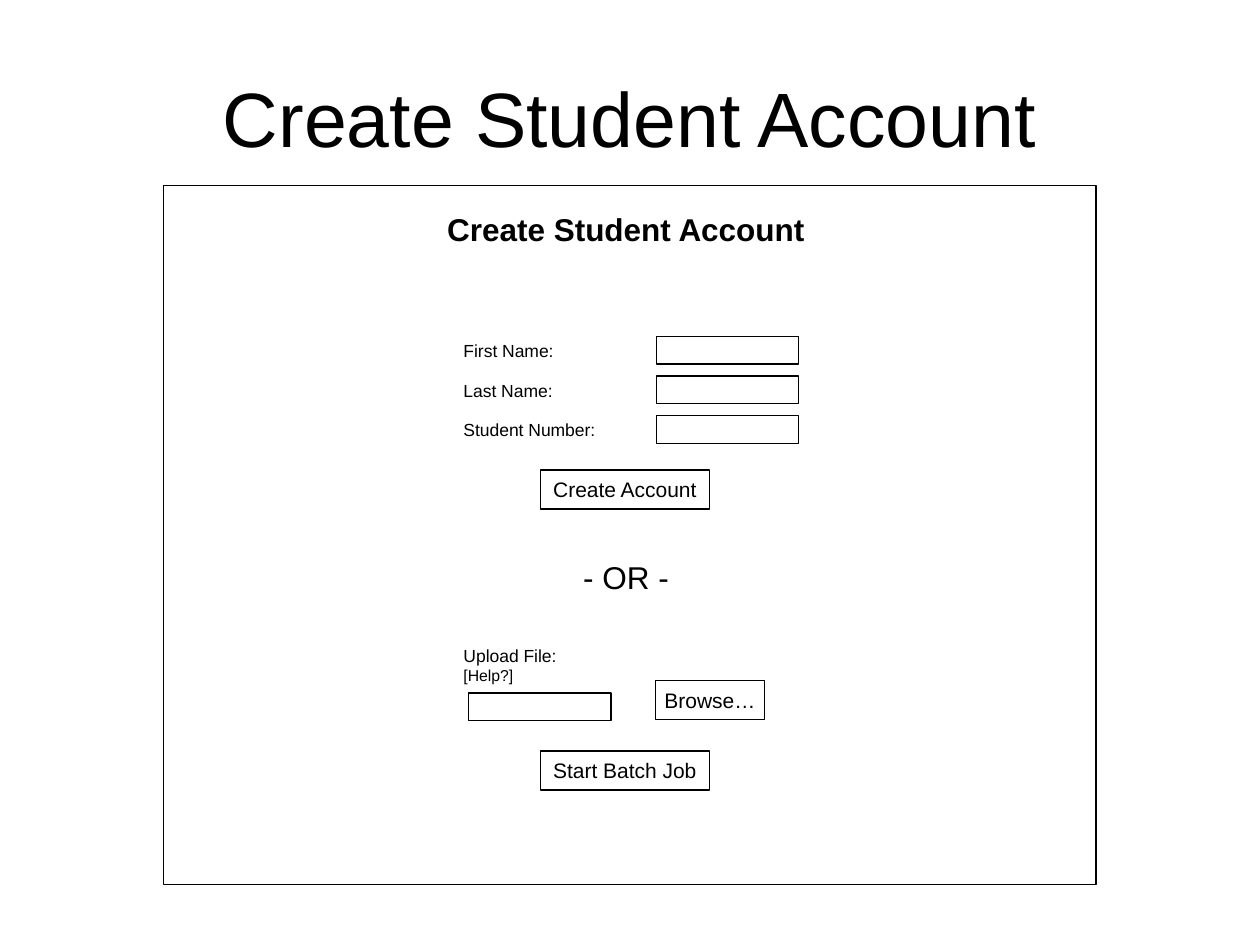
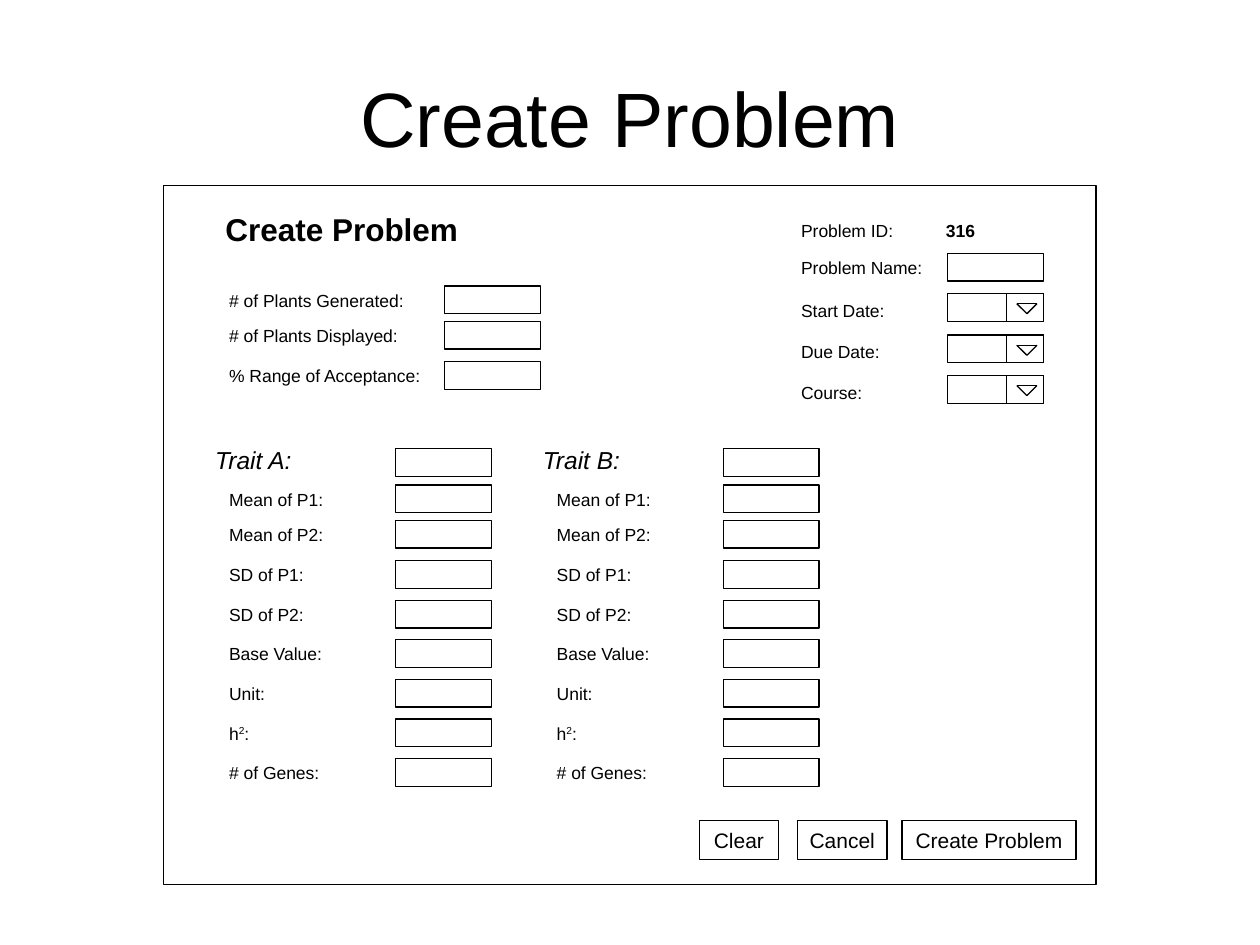
import collections
import itertools

import lxml.etree
import pptx
import pptx.dml.color
import pptx.enum.shapes
import pptx.enum.text
import pptx.oxml.ns
import pptx.util

Inches = pptx.util.Inches
Pt = pptx.util.Pt
Align = pptx.enum.text.PP_ALIGN
Anchor = pptx.enum.text.MSO_ANCHOR
Box = collections.namedtuple("Box", "left top width height")

BLACK = "000000"
FONT = "Arial"
TITLE = Box(0.5, 0.3, 9, 1.25)
PANEL = Box(1.3, 1.47, 7.4, 5.55)
FIELD_HEIGHT = 0.22
LABEL_HEIGHT = 0.27
LABEL_RISE = 0.02
BUTTON_HEIGHT = 0.31
SMALL_FIELD = 0.76
TRAIT_LABELS = ["SD of P1:", "SD of P2:", "Base Value:", "Unit:", "h^2^:", "# of Genes:"]


def color(value):
    return pptx.dml.color.RGBColor.from_string(value)


def lengths(box):
    return [Inches(value) for value in box]


def within(box, left, top, width, height):
    return Box(box.left + left, box.top + top, width, height)


def set_font(paragraph, size, bold=False, italic=False):
    font = paragraph.font
    font.name, font.size = FONT, Pt(size)
    font.bold, font.italic = bold, italic
    font.color.rgb = color(BLACK)


def add_text(slide, box, text, size, bold=False, italic=False, wrap=False):
    shape = slide.shapes.add_textbox(*lengths(box))
    frame = shape.text_frame
    frame.word_wrap = wrap
    frame.auto_size = pptx.enum.text.MSO_AUTO_SIZE.SHAPE_TO_FIT_TEXT
    paragraph = frame.paragraphs[0]
    for index, part in enumerate(text.split("^")):
        run = paragraph.add_run()
        run.text = part
        if index % 2:
            run._r.get_or_add_rPr().set("baseline", "30000")
    set_font(paragraph, size, bold, italic)
    return frame


def add_outline(slide, box):
    shape = slide.shapes.add_shape(pptx.enum.shapes.MSO_SHAPE.RECTANGLE, *lengths(box))
    shape.shadow.inherit = False
    shape.fill.background()
    shape.line.color.rgb = color(BLACK)
    shape.line.width = Pt(0.75)
    return shape


def add_line(slide, start, end):
    connector = slide.shapes.add_connector(
        pptx.enum.shapes.MSO_CONNECTOR.STRAIGHT, *lengths(start + end))
    connector.line.color.rgb = color(BLACK)
    connector.line.width = Pt(0.75)
    lxml.etree.SubElement(connector._element.spPr, pptx.oxml.ns.qn("a:effectLst"))


def add_button(slide, box, text):
    frame = add_outline(slide, box).text_frame
    frame.margin_left = frame.margin_right = 0
    frame.vertical_anchor = Anchor.MIDDLE
    frame.word_wrap = False
    paragraph = frame.paragraphs[0]
    paragraph.text = text
    paragraph.alignment = Align.CENTER
    set_font(paragraph, 12)


def add_field_row(slide, box, label, field_offset, field_width):
    add_text(slide, within(box, 0, -LABEL_RISE, box.width, LABEL_HEIGHT), label, 10, wrap=True)
    add_outline(slide, within(box, field_offset, 0, field_width, FIELD_HEIGHT))


def add_dropdown(slide, box):
    add_outline(slide, box)
    add_outline(slide, within(box, 0.47, 0, 0.29, box.height))
    corners = [(box.left + x, box.top + y) for x, y in [(0.55, 0.08), (0.63, 0.16), (0.71, 0.08)]]
    for start, end in itertools.combinations(corners, 2):
        add_line(slide, start, end)


def add_screen(presentation, title):
    slide = presentation.slides.add_slide(presentation.slide_layouts[6])
    frame = add_text(slide, TITLE, title, 44, wrap=True)
    frame.auto_size = pptx.enum.text.MSO_AUTO_SIZE.NONE
    frame.vertical_anchor = Anchor.MIDDLE
    frame.paragraphs[0].alignment = Align.CENTER
    add_outline(slide, PANEL)
    return slide


def add_name_form(slide, box):
    for index, label in enumerate(["First Name:", "Last Name:", "Student Number:"]):
        row = within(box, 0, 0.63 * index / 2, 1.69, FIELD_HEIGHT)
        add_field_row(slide, row, label, 1.63, 1.13)
    add_button(slide, within(box, 0.71, 1.06, 1.34, BUTTON_HEIGHT), "Create Account")


def add_upload_form(slide, box):
    frame = add_text(slide, within(box, 0, 0, 1.69, 0.42), "Upload File:", 10, wrap=True)
    help_link = frame.add_paragraph()
    help_link.text = "[Help?]"
    set_font(help_link, 9)
    add_outline(slide, within(box, 0.14, 0.43, 1.13, FIELD_HEIGHT))
    add_button(slide, within(box, 1.62, 0.33, 0.87, BUTTON_HEIGHT), "Browse…")
    add_button(slide, within(box, 0.71, 0.89, 1.34, BUTTON_HEIGHT), "Start Batch Job")


def add_plant_form(slide, box):
    rows = [("# of Plants Generated:", 0), ("# of Plants Displayed:", 0.28),
            ("% Range of Acceptance:", 0.6)]
    for label, top in rows:
        add_field_row(slide, within(box, 0, top, 2.18, FIELD_HEIGHT), label, 1.81, SMALL_FIELD)


def add_trait_form(slide, box, name):
    add_text(slide, within(box, 0, 0, 0.83, 0.34), name, 14, italic=True)
    add_outline(slide, within(box, 1.53, 0.08, SMALL_FIELD, FIELD_HEIGHT))
    rows = [("Mean of P1:", 0.37), ("Mean of P2:", 0.65)]
    rows += [(label, 0.97 + 1.57 * index / 5) for index, label in enumerate(TRAIT_LABELS)]
    for label, top in rows:
        add_field_row(slide, within(box, 0.11, top, 1.55, FIELD_HEIGHT), label, 1.42, SMALL_FIELD)


def add_problem_details(slide, box):
    frame = add_text(slide, box, "Problem ID:\t", 10, wrap=True)
    first = frame.paragraphs[0]
    number = first.add_run()
    number.text = "316"
    number.font.bold = True
    tabs = lxml.etree.Element(pptx.oxml.ns.qn("a:tabLst"))
    lxml.etree.SubElement(tabs, pptx.oxml.ns.qn("a:tab"), pos=str(Inches(1.15)), algn="l")
    first._p.get_or_add_pPr().insert(0, tabs)
    for label, gap in [("Problem Name:", 9), ("Start Date:", 12.5),
                       ("Due Date:", 11.4), ("Course:", 11.4)]:
        paragraph = frame.add_paragraph()
        paragraph.text = label
        paragraph.space_before = Pt(gap)
        set_font(paragraph, 10)
    add_outline(slide, within(box, 1.26, 0.31, SMALL_FIELD, FIELD_HEIGHT))
    for top in (0.63, 0.96, 1.28):
        add_dropdown(slide, within(box, 1.26, top, SMALL_FIELD, FIELD_HEIGHT))


def add_actions(slide, box):
    for label, left, width in [("Clear", 0, 0.63), ("Cancel", 0.78, 0.71),
                               ("Create Problem", 1.61, 1.38)]:
        add_button(slide, within(box, left, 0, width, box.height), label)


def add_account_slide(presentation):
    slide = add_screen(presentation, "Create Student Account")
    add_text(slide, within(PANEL, 2.15, 0.15, 3.05, 0.4), "Create Student Account", 18, bold=True)
    add_name_form(slide, within(PANEL, 2.28, 1.2, 2.76, 1.37))
    add_text(slide, within(PANEL, 3.23, 2.91, 0.88, 0.4), "- OR -", 18)
    add_upload_form(slide, within(PANEL, 2.28, 3.6, 2.49, 1.2))


def add_problem_slide(presentation):
    slide = add_screen(presentation, "Create Problem")
    add_text(slide, within(PANEL, 0.39, 0.15, 2.05, 0.4), "Create Problem", 18, bold=True)
    add_plant_form(slide, within(PANEL, 0.42, 0.8, 2.57, 0.82))
    for name, left in [("Trait A:", 0.31), ("Trait B:", 2.91)]:
        add_trait_form(slide, within(PANEL, left, 2.01, 2.29, 2.76), name)
    add_problem_details(slide, within(PANEL, 4.96, 0.23, 2.13, 1.52))
    add_actions(slide, within(PANEL, 4.25, 5.04, 2.99, BUTTON_HEIGHT))


def main():
    presentation = pptx.Presentation()
    presentation.slide_width = Inches(10)
    presentation.slide_height = Inches(7.5)
    add_account_slide(presentation)
    add_problem_slide(presentation)
    presentation.save("out.pptx")


if __name__ == "__main__":
    main()
